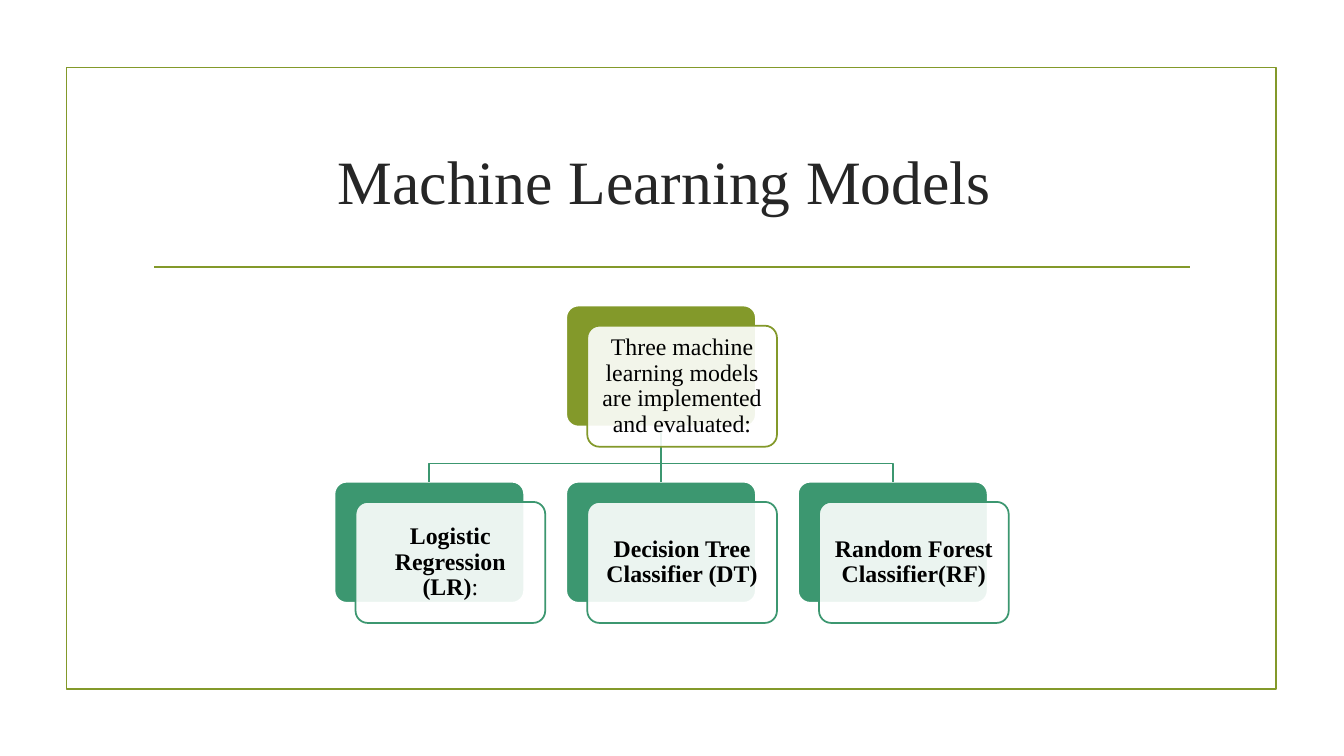
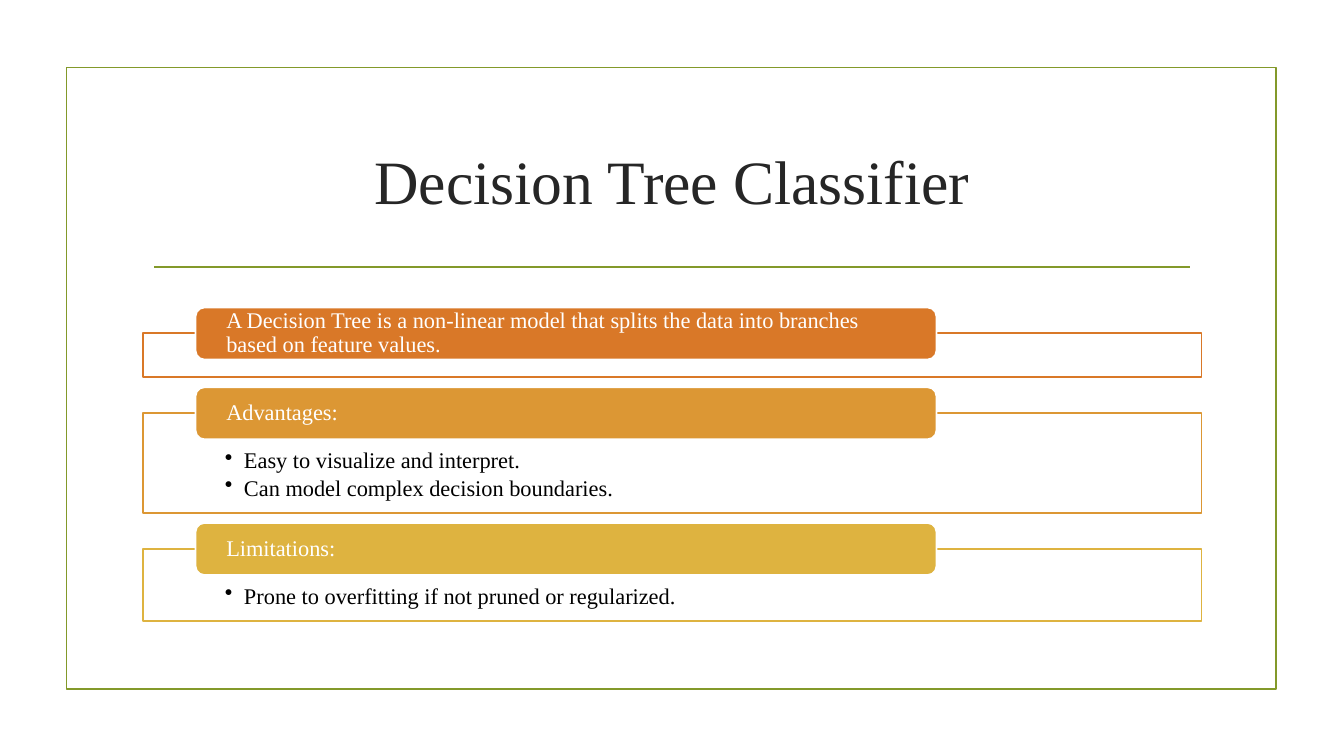
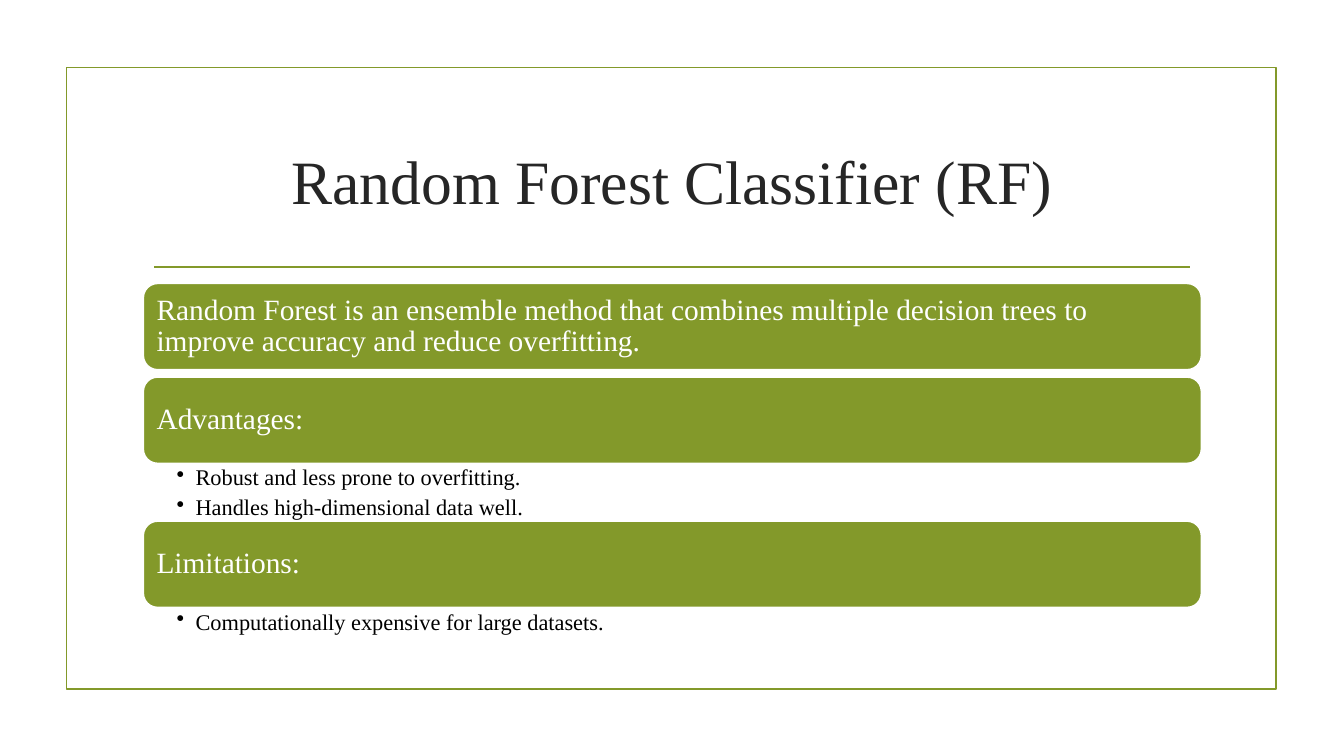
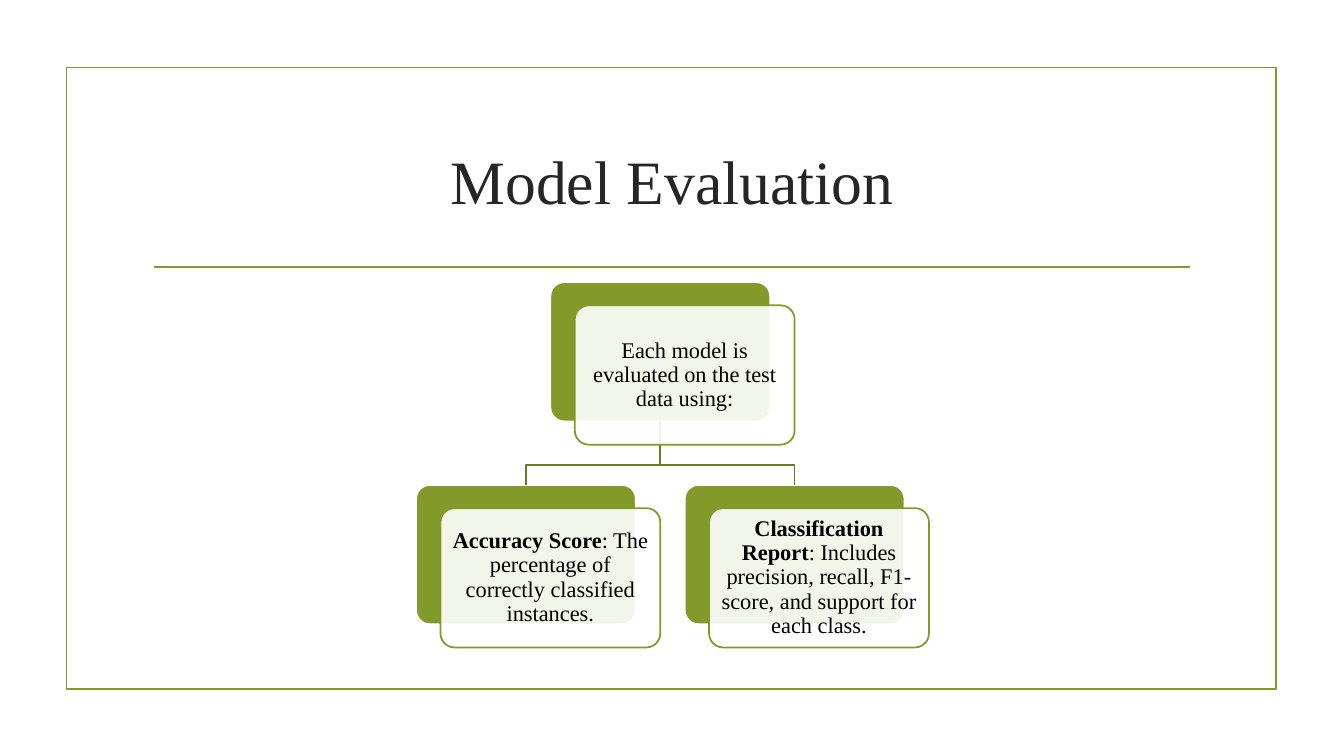
from lxml import etree
from pptx import Presentation
from pptx.dml.color import RGBColor
from pptx.enum.shapes import MSO_CONNECTOR, MSO_SHAPE
from pptx.enum.text import MSO_ANCHOR, PP_ALIGN
from pptx.oxml.ns import qn
from pptx.util import Cm, Pt

FONT = "Times New Roman"
GREEN, TEAL, OLIVE = "83992A", "3C9770", "697B22"
WHITE, BLACK, TITLE_GREY = "FFFFFF", "000000", "262626"
LINE_WIDTH = Pt(1.25)
CONTENT_LEFT, CONTENT_WIDTH = 3.61, 26.67

rgb = RGBColor.from_string


def add_box(slide, kind, left, top, width, height, fill, line):
    """Add a filled and outlined shape; lengths are in centimetres."""
    shape = slide.shapes.add_shape(kind, Cm(left), Cm(top), Cm(width), Cm(height))
    shape.shadow.inherit = False
    shape.fill.solid()
    shape.fill.fore_color.rgb = rgb(fill)
    shape.line.color.rgb = rgb(line)
    shape.line.width = LINE_WIDTH
    return shape


def write_text(shape, lines, size, color, margins, align=PP_ALIGN.LEFT,
               anchor=MSO_ANCHOR.MIDDLE, spacing=0.9, bullet_gap=None):
    """Fill a shape with paragraphs; a bullet_gap turns them into bullets."""
    frame = shape.text_frame
    frame.word_wrap = True
    frame.vertical_anchor = anchor
    (frame.margin_left, frame.margin_top,
     frame.margin_right, frame.margin_bottom) = map(Cm, margins)
    frame.text = "\n".join(lines)
    for paragraph in frame.paragraphs:
        if bullet_gap is not None:
            properties = paragraph._p.get_or_add_pPr()
            properties.set("marL", str(Cm(0.48)))
            properties.set("indent", str(-Cm(0.48)))
            etree.SubElement(properties, qn("a:buChar"), char="•")
            paragraph.space_after = Pt(bullet_gap)
        paragraph.alignment = align
        paragraph.line_spacing = spacing
        paragraph.font.name = FONT
        paragraph.font.size = Pt(size)
        paragraph.font.color.rgb = rgb(color)


presentation = Presentation()
presentation.slide_width, presentation.slide_height = Cm(33.87), Cm(19.05)

# Shared frame, rule and title
slides = []
for title in ["Machine Learning Models ", "Decision Tree Classifier",
              "Random Forest Classifier (RF)", "Model Evaluation"]:
    slide = presentation.slides.add_slide(presentation.slide_layouts[6])
    add_box(slide, MSO_SHAPE.RECTANGLE, 1.68, 1.7, 30.48, 15.67, WHITE, GREEN)
    rule = slide.shapes.add_connector(
        MSO_CONNECTOR.STRAIGHT, Cm(3.89), Cm(6.73), Cm(30), Cm(6.73))
    rule.line.color.rgb = rgb(GREEN)
    rule.line.width = LINE_WIDTH
    etree.SubElement(rule._element.spPr, qn("a:effectLst"))
    title_box = slide.shapes.add_textbox(
        Cm(CONTENT_LEFT), Cm(2.72), Cm(CONTENT_WIDTH), Cm(3.63))
    write_text(title_box, [title], 44, TITLE_GREY, (0.25, 0.13, 0.25, 0.13),
               align=PP_ALIGN.CENTER, spacing=1.0)
    slides.append(slide)

# Slides 1 and 4: trees of cards; each card holds (bold text, plain text)
trees = [
    dict(slide=slides[0], size=17, card=(4.78, 3.05), root=(14.27, 7.7),
         pitch=5.84, child_top=12.14, bend=11.68, child_color=TEAL, link_color=TEAL,
         texts=[("", "Three machine learning models are implemented and evaluated:"),
                ("Logistic Regression (LR)", ":"),
                ("Decision Tree Classifier (DT)", ""),
                ("Random Forest Classifier(RF)", "")]),
    dict(slide=slides[3], size=16, card=(5.54, 3.51), root=(13.87, 7.11),
         pitch=6.77, child_top=12.22, bend=11.71, child_color=GREEN, link_color=OLIVE,
         texts=[("", "Each model is evaluated on the test data using:"),
                ("Accuracy Score", ": The percentage of correctly classified instances."),
                ("Classification Report",
                 ": Includes precision, recall, F1-score, and support for each class.")]),
]
for tree in trees:
    slide = tree["slide"]
    width, height = tree["card"]
    root_left, root_top = tree["root"]
    child_count = len(tree["texts"]) - 1
    places = [(root_left, root_top, GREEN)]
    for index in range(child_count):
        child_left = root_left + (index - (child_count - 1) / 2) * tree["pitch"]
        places.append((child_left, tree["child_top"], tree["child_color"]))

    # Coloured backs
    backs = []
    for left, top, color in places:
        back = add_box(slide, MSO_SHAPE.ROUNDED_RECTANGLE, left, top, width, height,
                       color, WHITE)
        back.adjustments[0] = 0.1
        backs.append(back)

    # Links from the root to its children
    start_x, start_y = Cm(root_left + width / 2), Cm(root_top + height)
    for back, (left, top, color) in zip(backs[1:], places[1:]):
        end_x, end_y = Cm(left + width / 2), Cm(top)
        if left == root_left:
            link = slide.shapes.add_connector(
                MSO_CONNECTOR.STRAIGHT, start_x, start_y, end_x, end_y)
            link.begin_connect(backs[0], 2)
            link.end_connect(back, 0)
            etree.SubElement(link._element.spPr, qn("a:effectLst"))
        else:
            bend_y = Cm(tree["bend"])
            builder = slide.shapes.build_freeform(start_x, start_y)
            builder.add_line_segments(
                [(start_x, bend_y), (end_x, bend_y), (end_x, end_y)], close=False)
            link = builder.convert_to_shape()
            link.fill.background()
            link.shadow.inherit = False
        link.line.color.rgb = rgb(tree["link_color"])
        link.line.width = LINE_WIDTH

    # Translucent fronts with the text
    for (left, top, color), (bold, plain) in zip(places, tree["texts"]):
        front = add_box(slide, MSO_SHAPE.ROUNDED_RECTANGLE, left + width / 9,
                        top + height / 6, width, height, WHITE, color)
        front.adjustments[0] = 0.1
        white = front._element.spPr.find(qn("a:solidFill"))[0]
        etree.SubElement(white, qn("a:alpha"), val="90000")
        write_text(front, [bold or plain], tree["size"], BLACK, (0.18,) * 4,
                   align=PP_ALIGN.CENTER)
        if bold:
            paragraph = front.text_frame.paragraphs[0]
            paragraph.runs[0].font.bold = True
            if plain:
                paragraph.add_run().text = plain

# Slide 2: outlined panels with a heading band on the top edge
panel_top, panel_gap = 8.4, 0.9
for color, panel_height, heading, bullets in [
    ("D97828", 1.11, "A Decision Tree is a non-linear model that splits the data "
                     "into branches based on feature values.", []),
    ("DC9734", 2.52, "Advantages:", ["Easy to visualize and interpret.",
                                     "Can model complex decision boundaries."]),
    ("DEB340", 1.82, "Limitations:",
     ["Prone to overfitting if not pruned or regularized."]),
]:
    panel = add_box(slides[1], MSO_SHAPE.RECTANGLE, CONTENT_LEFT, panel_top,
                    CONTENT_WIDTH, panel_height, WHITE, color)
    if bullets:
        write_text(panel, bullets, 16, BLACK, (2.06, 0.91, 2.06, 0.3),
                   anchor=MSO_ANCHOR.TOP, bullet_gap=2.5)
    band = add_box(slides[1], MSO_SHAPE.ROUNDED_RECTANGLE, 4.93, panel_top - 0.65,
                   18.67, 1.31, color, WHITE)
    write_text(band, [heading], 16, WHITE, (0.71, 0, 0.71, 0))
    panel_top += panel_height + panel_gap

# Slide 3: full-width bars with bullets below
bar_top, bar_height = 7.14, 2.18
for heading, bullets, space_below in [
    ("Random Forest is an ensemble method that combines multiple decision trees to "
     "improve accuracy and reduce overfitting.", [], 0.18),
    ("Advantages:", ["Robust and less prone to overfitting.",
                     "Handles high-dimensional data well."], 1.45),
    ("Limitations:", ["Computationally expensive for large datasets."], 0.97),
]:
    bar = add_box(slides[2], MSO_SHAPE.ROUNDED_RECTANGLE, CONTENT_LEFT, bar_top,
                  CONTENT_WIDTH, bar_height, GREEN, WHITE)
    write_text(bar, [heading], 21, WHITE, (0.23,) * 4)
    bar_top += bar_height
    if bullets:
        bullet_box = slides[2].shapes.add_textbox(
            Cm(CONTENT_LEFT), Cm(bar_top), Cm(CONTENT_WIDTH), Cm(space_below))
        write_text(bullet_box, bullets, 16, BLACK, (0.84, 0.08, 0.41, 0.08),
                   anchor=MSO_ANCHOR.TOP, bullet_gap=4)
    bar_top += space_below

presentation.save("out.pptx")
